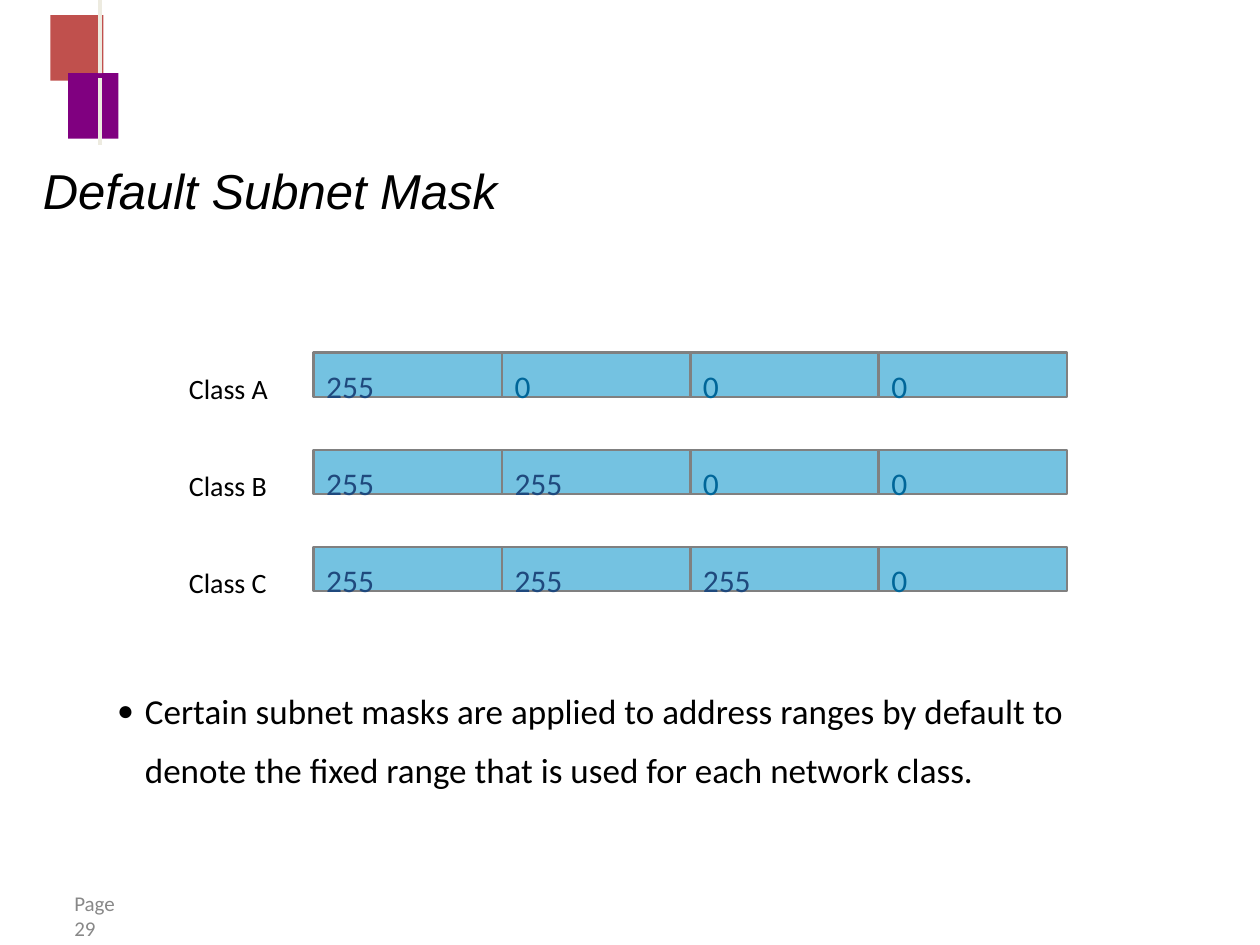
from dataclasses import dataclass

from pptx import Presentation
from pptx.dml.color import RGBColor
from pptx.enum.shapes import MSO_SHAPE
from pptx.enum.text import MSO_ANCHOR, MSO_AUTO_SIZE, PP_ALIGN
from pptx.oxml import parse_xml
from pptx.oxml.ns import nsdecls
from pptx.util import Inches, Pt

RECT = MSO_SHAPE.RECTANGLE
TOP = MSO_ANCHOR.TOP
FIXED = MSO_AUTO_SIZE.NONE
LEFT = PP_ALIGN.LEFT


@dataclass(frozen=True)
class Theme:
    head: str = "Arial"
    body: str = "Calibri"
    ink: str = "000000"
    muted: str = "888888"
    red: str = "C0504D"
    purple: str = "800080"
    cream: str = "EDEBE0"
    cell: str = "74C2E1"
    edge: str = "808080"
    net: str = "1F497D"
    host: str = "006699"
    title_size: int = 28
    list_size: int = 20
    cell_size: int = 18
    label_size: int = 16
    page_size: int = 12


THEME = Theme()
MASKS = {
    "Class A": (255, 0, 0, 0),
    "Class B": (255, 255, 0, 0),
    "Class C": (255, 255, 255, 0),
}


def write(shape, text, size, color, font=THEME.body, pad=None, wrap=True):
    """Set left-aligned text from the top of a shape; return its paragraph."""
    frame = shape.text_frame
    frame.auto_size = FIXED
    frame.word_wrap = wrap
    frame.vertical_anchor = TOP
    if pad is not None:
        frame.margin_left = frame.margin_right = Inches(pad)
        frame.margin_top = frame.margin_bottom = Inches(pad)
    frame.text = text
    para = frame.paragraphs[0]
    para.alignment = LEFT
    para.space_before = Pt(0)
    style = para.runs[0].font
    style.name, style.size = font, Pt(size)
    style.color.rgb = RGBColor.from_string(color)
    return para


def place(shape, box):
    shape.left, shape.top, shape.width, shape.height = map(Inches, box)


def add_rect(slide, box, fill, edge=None):
    rect = slide.shapes.add_shape(RECT, *map(Inches, box))
    rect.shadow.inherit = False
    rect.fill.solid()
    rect.fill.fore_color.rgb = RGBColor.from_string(fill)
    if edge:
        rect.line.color.rgb = RGBColor.from_string(edge)
        rect.line.width = Pt(1.5)
    else:
        rect.line.fill.background()
    return rect


def add_label(slide, box, text, size, color, wrap):
    label = slide.shapes.add_textbox(*map(Inches, box))
    write(label, text, size, color, pad=0, wrap=wrap)


def add_motif(slide, x, y):
    """Draw the corner squares and the split vertical bar."""
    add_rect(slide, (x, y + 0.12, 0.42, 0.52), THEME.red)
    add_rect(slide, (x + 0.14, y + 0.58, 0.4, 0.52), THEME.purple)
    for top, high in ((0, 0.58), (0.62, 0.53)):
        add_rect(slide, (x + 0.38, y + top, 0.03, high), THEME.cream)


def add_title(slide, box, text):
    title = slide.shapes.title
    place(title, box)
    para = write(title, text, THEME.title_size, THEME.ink, THEME.head, pad=0)
    para.runs[0].font.italic = True


def add_masks(slide, box):
    """Draw one labelled row of four octets for each class."""
    x, y, wide, high = box
    name_w, cell_h = 0.99, 0.35
    cell_w = (wide - name_w) / 4
    step = (high - cell_h) / (len(MASKS) - 1)
    for row, (name, octets) in enumerate(MASKS.items()):
        top = y + row * step
        add_label(slide, (x, top + 0.15, 0.63, 0.27), name,
                  THEME.label_size, THEME.ink, wrap=False)
        for col, octet in enumerate(octets):
            spot = (x + name_w + col * cell_w, top, cell_w, cell_h)
            cell = add_rect(slide, spot, THEME.cell, THEME.edge)
            color = THEME.net if octet else THEME.host
            para = write(cell, str(octet), THEME.cell_size, color)
            para.line_spacing = 1.2


def add_note(slide, box, text):
    """Fill the body placeholder with one bulleted point."""
    body = slide.placeholders[1]
    place(body, box)
    para = write(body, text, THEME.list_size, THEME.ink)
    para.line_spacing = 1.4
    props = para._p.get_or_add_pPr()
    props.set("marL", str(Inches(0.22)))
    props.set("indent", str(Inches(-0.28)))
    for tag in ('buSzPct val="80000"', 'buChar char="●"'):
        props.append(parse_xml(f"<a:{tag} {nsdecls('a')}/>"))


def main():
    deck = Presentation()
    deck.slide_width, deck.slide_height = Inches(10), Inches(7.5)
    slide = deck.slides.add_slide(deck.slide_layouts[1])
    add_motif(slide, 0.4, 0)
    add_title(slide, (0.34, 1.27, 9.33, 0.47), "Default Subnet Mask")
    add_label(slide, (0.59, 7.07, 0.44, 0.4), "Page 29",
              THEME.page_size, THEME.muted, wrap=True)
    add_masks(slide, (1.5, 2.8, 6.97, 1.89))
    add_note(slide, (0.83, 5.29, 8.34, 0.77),
             "Certain subnet masks are applied to address ranges by default "
             "to denote the fixed range that is used for each network class.")
    deck.save("out.pptx")


if __name__ == "__main__":
    main()
